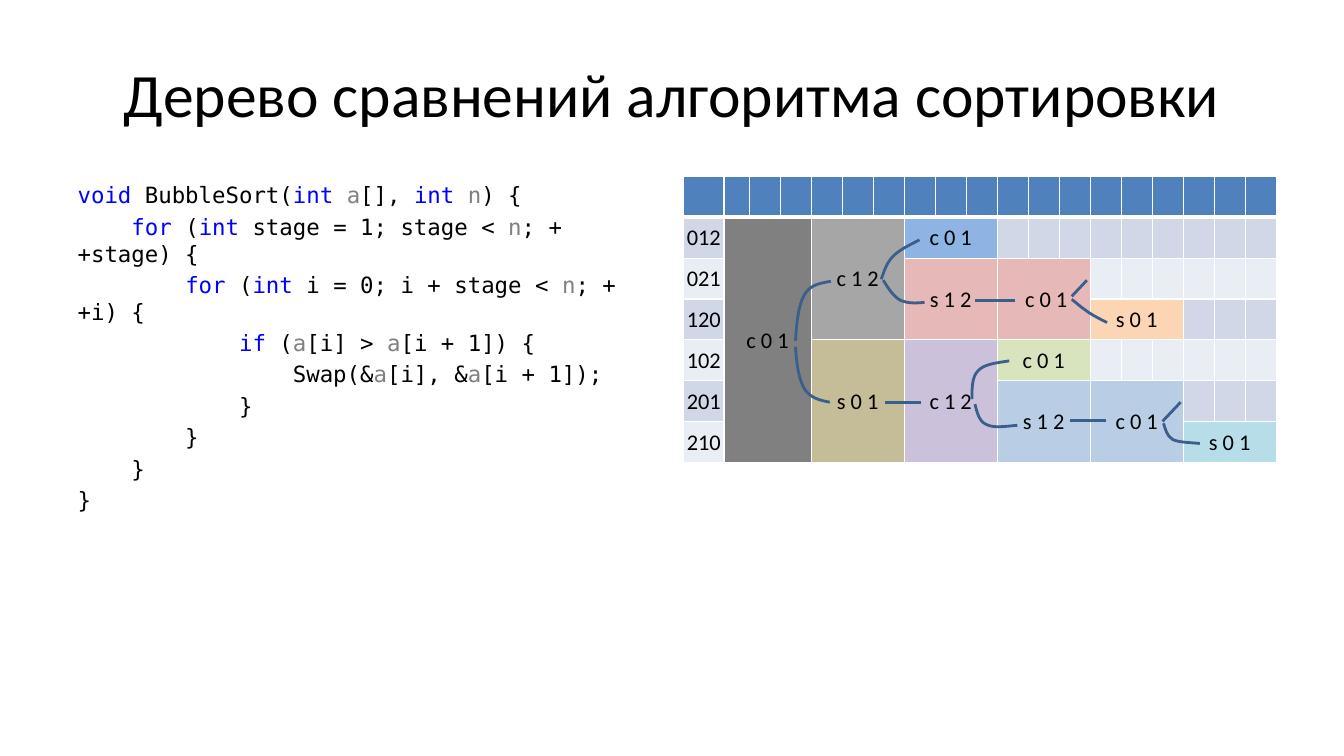
from dataclasses import dataclass

from lxml.etree import SubElement
from pptx import Presentation
from pptx.dml.color import RGBColor
from pptx.enum.shapes import MSO_CONNECTOR
from pptx.enum.text import MSO_ANCHOR, MSO_AUTO_SIZE, PP_ALIGN
from pptx.oxml.ns import qn
from pptx.util import Pt

PX = 9144  # 100 px to the inch


@dataclass
class Theme:
    text_font: str = "Calibri"
    code_font: str = "DejaVu Sans Mono"
    title_size: int = 44
    text_size: int = 16
    text: str = "000000"
    keyword: str = "0000FF"
    parameter: str = "808080"
    header: str = "4F81BD"
    bands: tuple = ("E9EDF4", "D0D8E8")
    border: str = "FFFFFF"
    branch: str = "3A5F8C"


theme = Theme()


def style_font(font, name, size, color):
    font.name = name
    font.size = Pt(size)
    font.color.rgb = RGBColor.from_string(color)


def write_cell(cell, text):
    cell.text_frame.text = text
    paragraph = cell.text_frame.paragraphs[0]
    paragraph.alignment = PP_ALIGN.CENTER
    style_font(paragraph.runs[0].font, theme.text_font, theme.text_size, theme.text)


presentation = Presentation()
presentation.slide_width, presentation.slide_height = 1333 * PX, 750 * PX
slide = presentation.slides.add_slide(presentation.slide_layouts[1])
title, body = slide.placeholders

# Title
title.left, title.top, title.width, title.height = 67 * PX, 30 * PX, 1200 * PX, 125 * PX
title.text_frame.text = "Дерево сравнений алгоритма сортировки"
title.text_frame.vertical_anchor = MSO_ANCHOR.MIDDLE
title.text_frame.auto_size = MSO_AUTO_SIZE.NONE
title.text_frame.paragraphs[0].alignment = PP_ALIGN.CENTER
style_font(title.text_frame.paragraphs[0].runs[0].font,
           theme.text_font, theme.title_size, theme.text)

# Code listing: "|" separates the coloured tokens
code_lines = [
    "void |BubbleSort(|int |a|[], |int |n|) {",
    "    |for| (|int| stage = 1; stage < |n|; ++stage) {",
    "        |for| (|int |i = 0; i + stage < |n|; ++i) {",
    "            |if| (|a|[i] > |a|[i + 1]) {",
    "                Swap(&|a|[i], &|a|[i + 1]);",
    "            }",
    "        }",
    "    }",
    "}",
]
token_colors = dict.fromkeys(("void", "int", "for", "if"), theme.keyword)
token_colors.update(dict.fromkeys(("a", "n"), theme.parameter))

body.left, body.top, body.width, body.height = 67 * PX, 175 * PX, 589 * PX, 495 * PX
body.text_frame.auto_size = MSO_AUTO_SIZE.NONE
for number, line in enumerate(code_lines):
    paragraph = body.text_frame.add_paragraph() if number else body.text_frame.paragraphs[0]
    properties = paragraph._p.get_or_add_pPr()
    properties.set("marL", "0")
    properties.set("indent", "0")
    SubElement(properties, qn("a:buNone"))
    paragraph.space_before = Pt(3.2 if number else 0)
    for token in line.split("|"):
        run = paragraph.add_run()
        run.text = token
        style_font(run.font, theme.code_font, theme.text_size,
                   token_colors.get(token.strip(), theme.text))

# Table grid: a label column, then six steps of three columns each
table = slide.shapes.add_table(7, 19, 678 * PX, 175 * PX, 588 * PX, 284 * PX).table
table.first_row = table.horz_banding = False
for index, column in enumerate(table.columns):
    column.width = (40, 25)[index] * PX if index < 2 else 523 * PX // 17
for row_index, row in enumerate(table.rows):
    row.height = 284 * PX // 7
    for cell in row.cells:
        cell.margin_left = cell.margin_right = cell.margin_top = PX
        cell.margin_bottom = 0
        cell.vertical_anchor = MSO_ANCHOR.MIDDLE
        for side in "LRTB":
            thick = (row_index, side) in ((0, "B"), (1, "T"))
            border = SubElement(cell._tc.get_or_add_tcPr(), qn(f"a:ln{side}"),
                                w=str(Pt(3 if thick else 1)))
            SubElement(SubElement(border, qn("a:solidFill")), qn("a:srgbClr"),
                       val=theme.border)
        cell.fill.solid()
        cell.fill.fore_color.rgb = RGBColor.from_string(
            theme.bands[row_index % 2] if row_index else theme.header)

for row_index, permutation in enumerate(("012", "021", "120", "102", "201", "210"), 1):
    write_cell(table.cell(row_index, 0), permutation)

# Tree nodes: first row, row count, step, text, fill
nodes = [
    (1, 6, 0, "c 0 1", "808080"),
    (1, 3, 1, "c 1 2", "A6A6A6"),
    (1, 1, 2, "c 0 1", "8EB4E3"),
    (2, 2, 2, "s 1 2", "E6B9B8"),
    (2, 2, 3, " c 0 1", "E6B9B8"),
    (3, 1, 4, "s 0 1", "FCD5B5"),
    (4, 3, 1, "s 0 1", "C4BD97"),
    (4, 3, 2, "c 1 2", "CCC1DA"),
    (4, 1, 3, "c 0 1", "D7E4BD"),
    (5, 2, 3, "s 1 2", "B9CDE5"),
    (5, 2, 4, "c 0 1", "B9CDE5"),
    (6, 1, 5, "s 0 1", "B7DEE8"),
]
for top, row_count, step, text, color in nodes:
    left = 1 + 3 * step
    cell = table.cell(top, left)
    cell.merge(table.cell(top + row_count - 1, left + 2))
    cell.fill.fore_color.rgb = RGBColor.from_string(color)
    write_cell(cell, text)

# Curved branches: two cubic segments through seven points
curves = [
    [(789, 338), (790, 320), (792, 302), (798, 292), (804, 282), (814, 281), (824, 279)],
    [(874, 277), (877, 269), (879, 261), (886, 254), (892, 248), (902, 243), (912, 238)],
    [(876, 278), (881, 286), (886, 294), (893, 298), (900, 301), (908, 301), (917, 300)],
    [(1063, 297), (1067, 300), (1071, 304), (1077, 308), (1082, 312), (1090, 316), (1098, 320)],
    [(789, 344), (790, 360), (792, 376), (798, 386), (804, 395), (813, 397), (823, 399)],
    [(1154, 420), (1156, 426), (1157, 432), (1163, 436), (1169, 439), (1180, 439), (1190, 440)],
    [(967, 401), (969, 409), (971, 418), (978, 421), (985, 425), (997, 423), (1009, 422)],
    [(964, 396), (964, 385), (964, 374), (970, 368), (976, 361), (989, 360), (1001, 358)],
]
for start, *points in curves:
    builder = slide.shapes.build_freeform(*start, scale=PX)
    builder.add_line_segments(points, close=False)
    branch = builder.convert_to_shape()
    branch.shadow.inherit = False
    branch.fill.background()
    branch.line.width = Pt(2)
    branch.line.color.rgb = RGBColor.from_string(theme.branch)
    # Every three line points become one cubic segment
    outline = next(branch._element.iter(qn("a:path")))
    lines = outline.findall(qn("a:lnTo"))
    for first in range(0, len(lines), 3):
        cubic = SubElement(outline, qn("a:cubicBezTo"))
        for line in lines[first:first + 3]:
            cubic.append(line[0])
            outline.remove(line)

# Straight branches
straight_branches = [
    (967, 298, 1007, 298),
    (1061, 417, 1097, 417),
    (1063, 294, 1078, 278),
    (1153, 418, 1171, 399),
    (878, 399, 913, 399),
]
for ends in straight_branches:
    branch = slide.shapes.add_connector(MSO_CONNECTOR.STRAIGHT, *(end * PX for end in ends))
    branch.line.width = Pt(2)
    branch.line.color.rgb = RGBColor.from_string(theme.branch)
    SubElement(branch._element.spPr, qn("a:effectLst"))

presentation.save("out.pptx")
